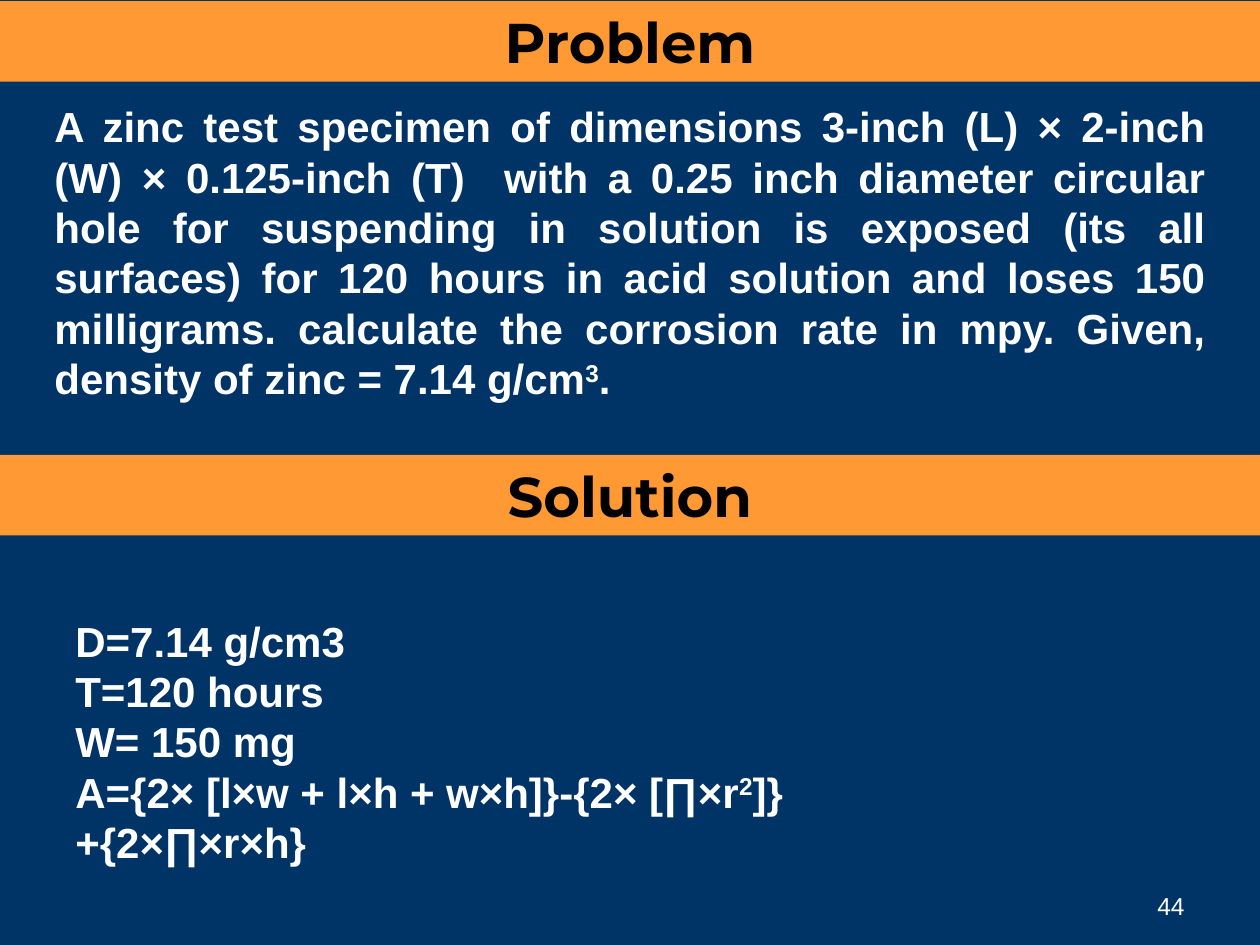
from pptx import Presentation
from pptx.dml.color import RGBColor
from pptx.enum.shapes import MSO_SHAPE
from pptx.enum.text import MSO_ANCHOR, PP_ALIGN
from pptx.util import Pt

RECTANGLE = MSO_SHAPE.RECTANGLE
TOP, BOTTOM = MSO_ANCHOR.TOP, MSO_ANCHOR.BOTTOM
LEFT, CENTER, RIGHT, JUSTIFY = PP_ALIGN.LEFT, PP_ALIGN.CENTER, PP_ALIGN.RIGHT, PP_ALIGN.JUSTIFY

COLORS = {"navy": "003366", "orange": "FF9933", "white": "FFFFFF", "black": "000000"}


def write(shape, paragraphs, size, font="Arial", color="white", bold=True,
          align=LEFT, anchor=TOP):
    """Fill a shape with text; a paragraph's odd pieces, split at ^, are raised."""
    frame = shape.text_frame
    frame.word_wrap = True
    frame.vertical_anchor = anchor
    for i, text in enumerate(paragraphs):
        paragraph = frame.add_paragraph() if i else frame.paragraphs[0]
        paragraph.alignment = align
        paragraph.font.name = font
        paragraph.font.size = Pt(size)
        paragraph.font.bold = bold
        paragraph.font.color.rgb = RGBColor.from_string(COLORS[color])
        for j, piece in enumerate(text.split("^")):
            run = paragraph.add_run()
            run.text = piece
            if j % 2:
                run._r.get_or_add_rPr().set("baseline", "30000")


prs = Presentation()
prs.slide_width, prs.slide_height = Pt(720), Pt(540)
slide = prs.slides.add_slide(prs.slide_layouts[6])
slide.background.fill.solid()
slide.background.fill.fore_color.rgb = RGBColor.from_string(COLORS["navy"])

# Slide number
number = slide.shapes.add_textbox(Pt(516), Pt(492), Pt(168), Pt(37.5))
write(number, ["44"], 14, bold=False, align=RIGHT, anchor=BOTTOM)

# Problem statement
problem = slide.shapes.add_textbox(Pt(24), Pt(54), Pt(672), Pt(181.5))
write(problem, [
    "A zinc test specimen of dimensions 3-inch (L) × 2-inch (W) × 0.125-inch (T)  with a "
    "0.25 inch diameter circular hole for suspending in solution is exposed (its all "
    "surfaces) for 120 hours in acid solution and loses 150 milligrams. calculate the "
    "corrosion rate in mpy. Given, density of zinc = 7.14 g/cm^3^. "
], 24, align=JUSTIFY)

# Solution: known values and area formula
solution = slide.shapes.add_textbox(Pt(36), Pt(348), Pt(546), Pt(124))
write(solution, [
    "D=7.14 g/cm3",
    "T=120 hours",
    "W= 150 mg",
    "A={2× [l×w + l×h + w×h]}-{2× [∏×r^2^]}+{2×∏×r×h}",
], 24)

# Heading bands
for heading, top in (("Problem", 0.6), ("Solution", 260)):
    band = slide.shapes.add_shape(RECTANGLE, 0, Pt(top), Pt(720), Pt(46))
    band.shadow.inherit = False
    band.fill.solid()
    band.fill.fore_color.rgb = RGBColor.from_string(COLORS["orange"])
    band.line.fill.background()
    write(band, [heading], 32, font="Montserrat", color="black", align=CENTER)

prs.save("out.pptx")
